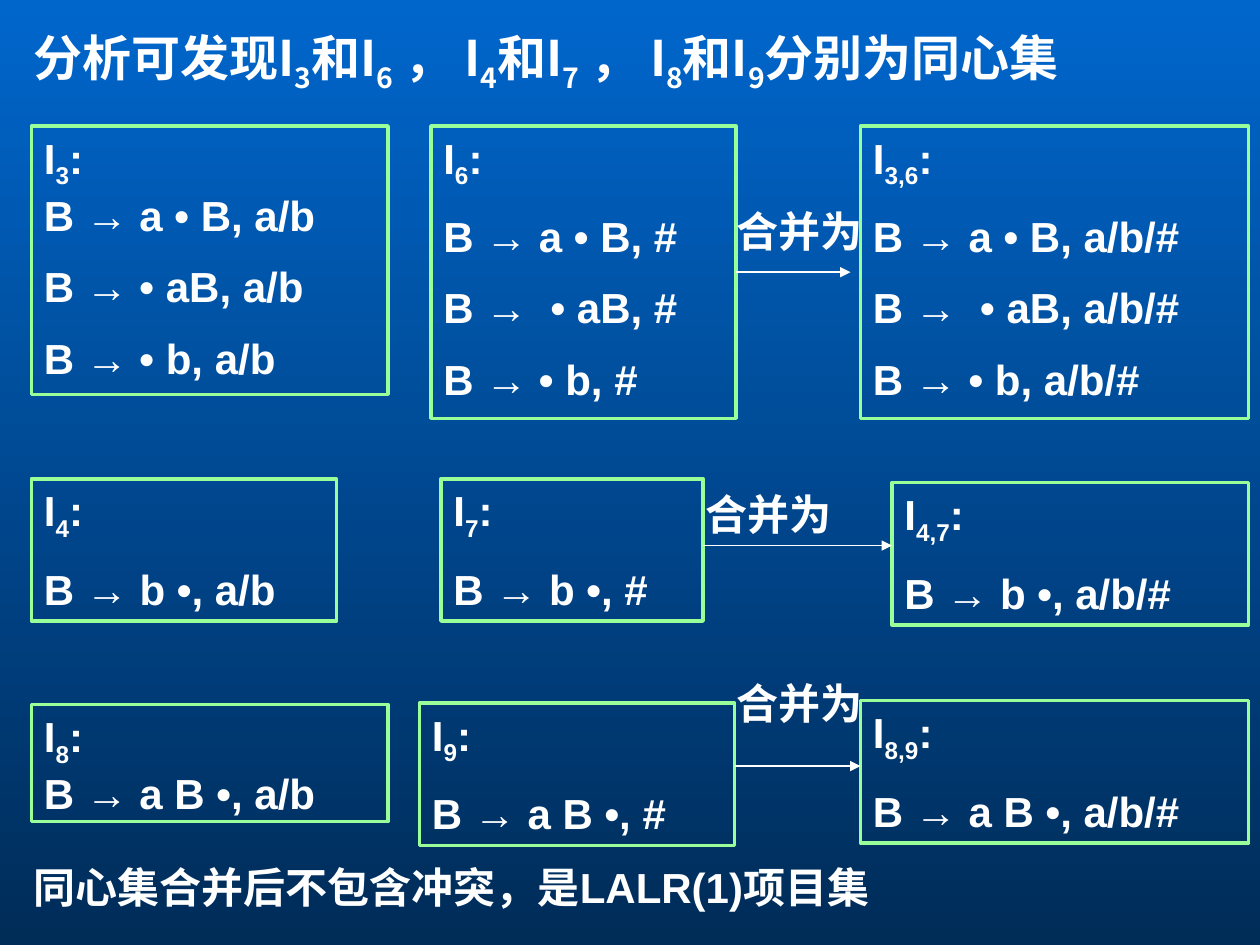
from lxml import etree
from pptx import Presentation
from pptx.dml.color import RGBColor
from pptx.enum.shapes import MSO_CONNECTOR, MSO_SHAPE
from pptx.enum.text import MSO_ANCHOR, PP_ALIGN
from pptx.oxml.ns import qn
from pptx.util import Inches, Pt

RECT = MSO_SHAPE.RECTANGLE
LINE = MSO_CONNECTOR.STRAIGHT
TOP = MSO_ANCHOR.TOP
LEFT = PP_ALIGN.LEFT

WHITE = RGBColor(0xFF, 0xFF, 0xFF)
GREEN = RGBColor(0x99, 0xFF, 0x99)
BLUE = RGBColor(0x00, 0x66, 0xCC)
NAVY = RGBColor(0x00, 0x2C, 0x58)

LATIN = "Arial"
HAN = "Noto Sans CJK SC"
GAP = Pt(12)

TITLE = {"size": Pt(28), "bold": True, "name": HAN}
BODY = {"size": Pt(24), "bold": True, "name": LATIN}
LABEL = {"size": Pt(24), "bold": True, "name": HAN}
FRAME = {"word_wrap": True, "vertical_anchor": TOP}


def write(shape, lines, style, tight=False):
    """Fill shape with lines; text between bars is subscript.

    With tight, the second line follows the first without a gap.
    """
    frame = shape.text_frame
    for key, value in FRAME.items():
        setattr(frame, key, value)
    for i, line in enumerate(lines):
        para = frame.paragraphs[0] if i == 0 else frame.add_paragraph()
        para.alignment = LEFT
        para.space_before = Pt(0) if i == 0 or (tight and i == 1) else GAP
        for j, part in enumerate(line.split("|")):
            run = para.add_run()
            run.text = part
            for key, value in style.items():
                setattr(run.font, key, value)
            run.font.color.rgb = WHITE
            props = run.font._element
            etree.SubElement(props, qn("a:ea")).set("typeface", HAN)
            if j % 2:
                props.set("baseline", "-25000")


def place(rect, kind=None):
    """Add a text box, or a shape of the given kind, at rect in inches."""
    spot = [Inches(n) for n in rect]
    if kind is None:
        return shapes.add_textbox(*spot)
    return shapes.add_shape(kind, *spot)


prs = Presentation()
prs.slide_width = Inches(10)
prs.slide_height = Inches(7.5)
slide = prs.slides.add_slide(prs.slide_layouts[6])
shapes = slide.shapes

fill = slide.background.fill
fill.gradient()
fill.gradient_angle = 270
for stop, color in zip(fill.gradient_stops, (BLUE, NAVY)):
    stop.color.rgb = color

title = place((0.17, 0.17, 9.5, 0.57))
write(title, ["分析可发现I|3|和I|6| ， I|4|和I|7| ， I|8|和I|9|分别为同心集"], TITLE)

# Each item set: name, place, rules, and whether the first rule sits close
sets = [
    ("3", (0.25, 1, 2.83, 2.13),
     ["B → a • B, a/b", "B → • aB, a/b", "B → • b, a/b"], True),
    ("6", (3.42, 1, 2.42, 2.32),
     ["B → a • B, #", "B →  • aB, #", "B → • b, #"], False),
    ("4", (0.25, 3.8, 2.42, 1.13), ["B → b •, a/b"], False),
    ("7", (3.5, 3.8, 2.08, 1.13), ["B → b •, #"], False),
    ("8", (0.25, 5.59, 2.83, 0.93), ["B → a B •, a/b"], True),
    ("9", (3.33, 5.58, 2.5, 1.13), ["B → a B •, #"], False),
    ("3,6", (6.83, 1, 3.08, 2.32),
     ["B → a • B, a/b/#", "B →  • aB, a/b/#", "B → • b, a/b/#"], False),
    ("4,7", (7.08, 3.83, 2.83, 1.13), ["B → b •, a/b/#"], False),
    ("8,9", (6.83, 5.56, 3.08, 1.13), ["B → a B •, a/b/#"], False),
]
boxes = {}
for name, rect, rules, tight in sets:
    box = place(rect, RECT)
    box.shadow.inherit = False
    box.fill.background()
    box.line.color.rgb = GREEN
    box.line.width = Pt(2)
    write(box, [f"I|{name}|:", *rules], BODY, tight)
    boxes[name] = box

# Each merge: arrow start, arrow end, arrow height, label place
merges = [
    (5.84, 6.75, 2.16, (5.75, 1.58, 1.33, 0.5)),
    (5.58, 7.08, 4.33, (5.5, 3.83, 1.42, 0.5)),
    (5.83, 6.83, 6.08, (5.75, 5.33, 1.5, 0.5)),
]
arrows = []
for start, end, y, rect in merges:
    arrow = shapes.add_connector(
        LINE, Inches(start), Inches(y), Inches(end), Inches(y))
    arrow.line.color.rgb = WHITE
    arrow.line.width = Pt(0.75)
    tail = etree.SubElement(arrow.line._get_or_add_ln(), qn("a:tailEnd"))
    tail.set("type", "triangle")
    etree.SubElement(arrow._element.spPr, qn("a:effectLst"))
    arrows.append(arrow)
    write(place(rect), ["合并为"], LABEL)
arrows[0].begin_connect(boxes["6"], 3)

note = place((0.17, 6.83, 8.5, 0.46))
write(note, ["同心集合并后不包含冲突，是LALR(1)项目集"], BODY)
note.text_frame.paragraphs[0].line_spacing = 0.9

prs.save("out.pptx")
